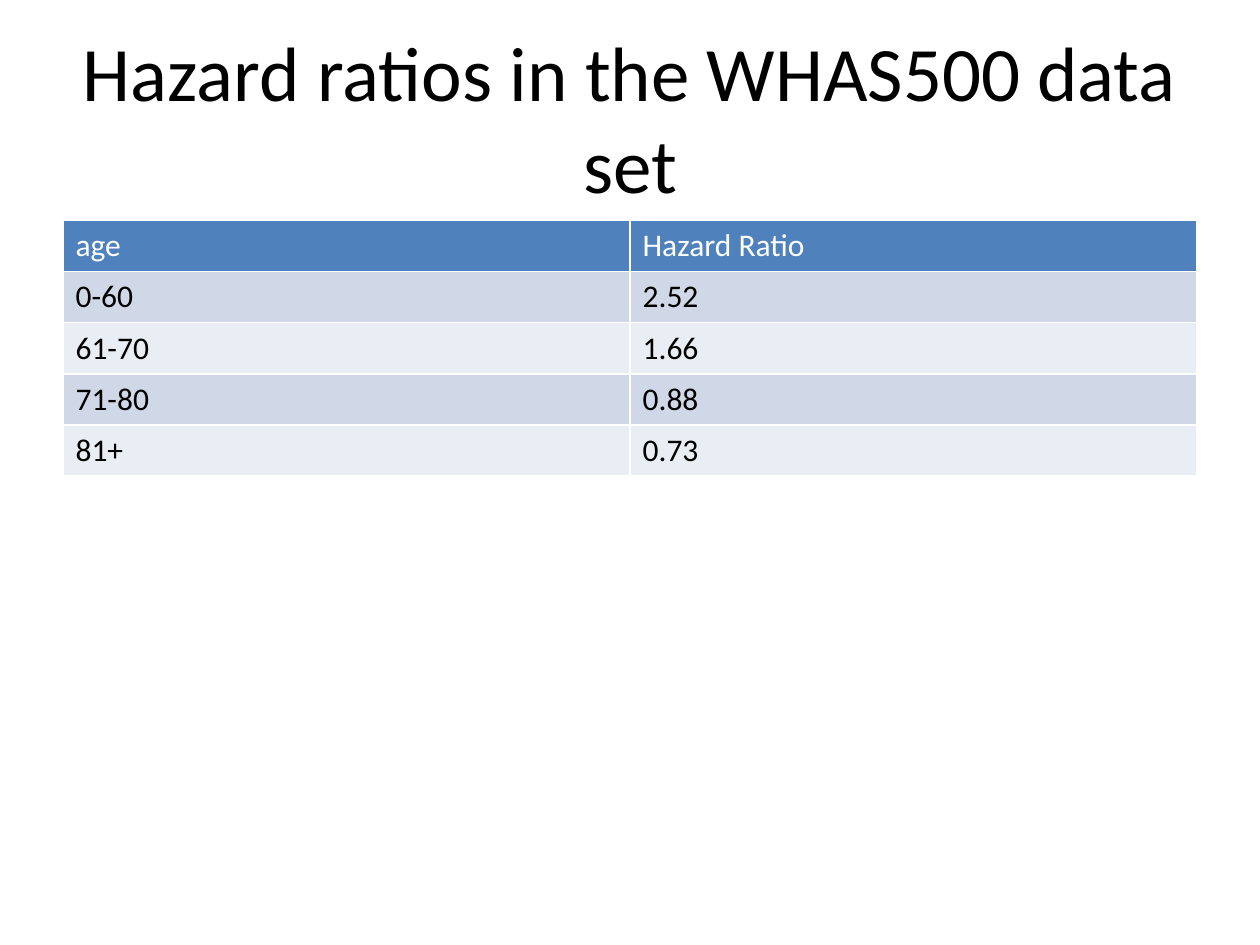
from dataclasses import dataclass

from pptx import Presentation
from pptx.dml.color import RGBColor
from pptx.enum.text import MSO_ANCHOR, PP_ALIGN
from pptx.util import Pt

TITLE = "Hazard ratios in the WHAS500 data set"
ROWS = [
    ("age", "Hazard Ratio"),
    ("0-60", "2.52"),
    ("61-70", "1.66"),
    ("71-80", "0.88"),
    ("81+", "0.73"),
]


@dataclass(frozen=True)
class Theme:
    """Colours, font and type sizes of the slide."""
    font: str = "Calibri"
    title_size: int = 44
    table_size: int = 18
    dark: str = "000000"
    light: str = "FFFFFF"
    header: str = "4F81BD"
    bands: tuple = ("D0D8E8", "E9EDF4")


THEME = Theme()
SLIDE_WIDTH, SLIDE_HEIGHT = 720, 540
MARGIN = 36
CONTENT_WIDTH = SLIDE_WIDTH - 2 * MARGIN
TITLE_TOP, TITLE_HEIGHT = 21.6, 90
TABLE_TOP, ROW_HEIGHT = 126, 29.2


def write_text(frame, text, *, size, color, align=PP_ALIGN.LEFT, anchor=MSO_ANCHOR.TOP):
    """Put one formatted paragraph into a text frame."""
    frame.word_wrap = True
    frame.vertical_anchor = anchor
    paragraph = frame.paragraphs[0]
    paragraph.alignment = align
    run = paragraph.add_run()
    run.text = text
    run.font.name = THEME.font
    run.font.size = Pt(size)
    run.font.bold = False
    run.font.color.rgb = RGBColor.from_string(color)


def add_title(slide):
    """Place and fill the title placeholder."""
    title = slide.shapes.title
    title.left, title.top = Pt(MARGIN), Pt(TITLE_TOP)
    title.width, title.height = Pt(CONTENT_WIDTH), Pt(TITLE_HEIGHT)
    write_text(title.text_frame, TITLE, size=THEME.title_size, color=THEME.dark,
               align=PP_ALIGN.CENTER, anchor=MSO_ANCHOR.MIDDLE)


def add_ratio_table(slide):
    """Add the banded table; its style supplies the white borders."""
    table = slide.shapes.add_table(
        len(ROWS), len(ROWS[0]), Pt(MARGIN), Pt(TABLE_TOP),
        Pt(CONTENT_WIDTH), Pt(ROW_HEIGHT * len(ROWS))).table
    for row_index, values in enumerate(ROWS):
        is_header = row_index == 0
        fill = THEME.header if is_header else THEME.bands[(row_index - 1) % 2]
        color = THEME.light if is_header else THEME.dark
        for column_index, value in enumerate(values):
            cell = table.cell(row_index, column_index)
            cell.fill.solid()
            cell.fill.fore_color.rgb = RGBColor.from_string(fill)
            write_text(cell.text_frame, value, size=THEME.table_size, color=color)


def build():
    """Build the slide and save the presentation."""
    presentation = Presentation()
    presentation.slide_width = Pt(SLIDE_WIDTH)
    presentation.slide_height = Pt(SLIDE_HEIGHT)
    slide = presentation.slides.add_slide(presentation.slide_layouts.get_by_name("Title Only"))
    add_title(slide)
    add_ratio_table(slide)
    presentation.save("out.pptx")


build()
